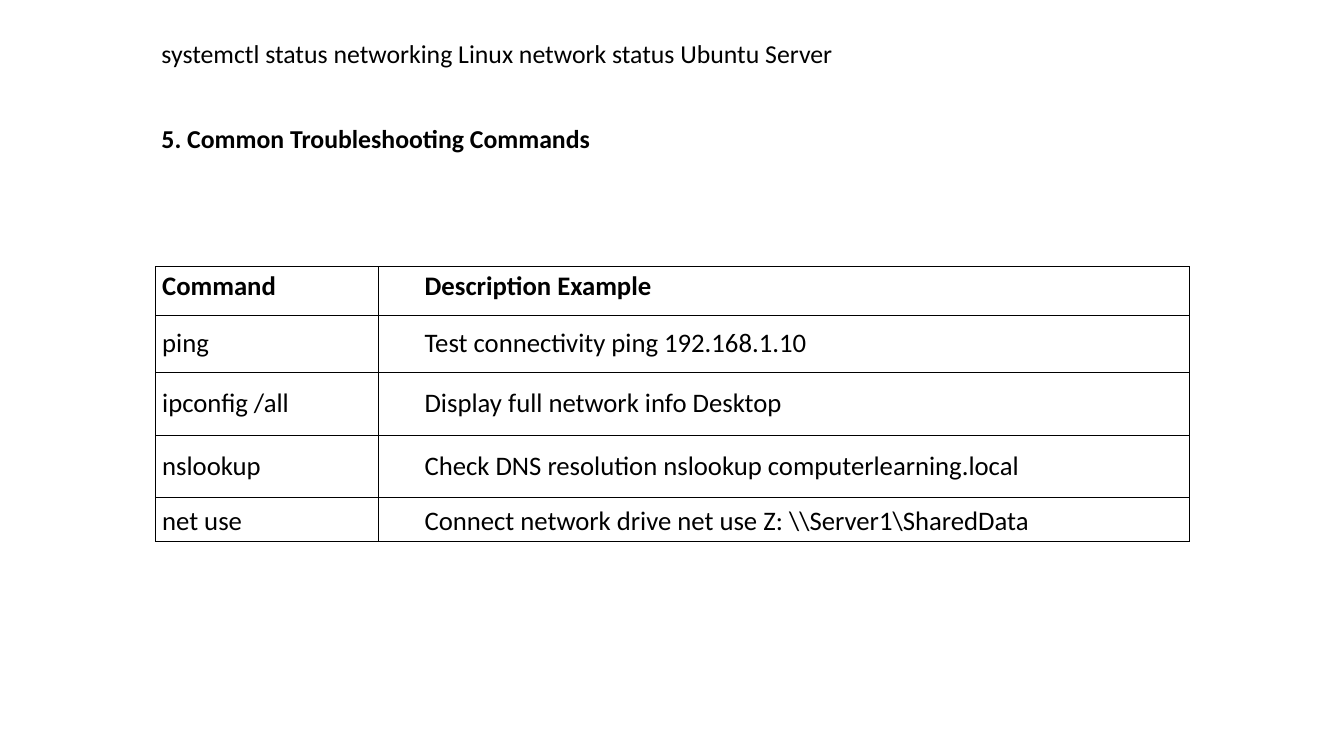
"""Build the slide of common troubleshooting commands."""
from dataclasses import dataclass

from lxml import etree
from pptx import Presentation
from pptx.dml.color import RGBColor
from pptx.enum.text import MSO_ANCHOR, MSO_AUTO_SIZE, PP_ALIGN
from pptx.oxml.ns import qn
from pptx.shapes.base import BaseShape
from pptx.slide import Slide
from pptx.table import _Cell
from pptx.text.text import _Paragraph
from pptx.util import Inches, Pt

TOP, MIDDLE, BOTTOM = MSO_ANCHOR.TOP, MSO_ANCHOR.MIDDLE, MSO_ANCHOR.BOTTOM
LEFT = PP_ALIGN.LEFT
NO_AUTOFIT = MSO_AUTO_SIZE.NONE


@dataclass(frozen=True)
class Theme:
    font: str = "Calibri"
    ink: str = "000000"
    paper: str = "FFFFFF"
    line_size: float = 27
    cell_size: float = 28
    border: float = 0.45


@dataclass(frozen=True)
class Line:
    text: str
    top: float
    width: float
    bold: bool = False


@dataclass(frozen=True)
class Row:
    command: str
    description: str
    height: float
    anchor: MSO_ANCHOR = MIDDLE
    bold: bool = False


THEME = Theme()
TEXT_LEFT, LINE_HEIGHT = 2.35, 0.42
TABLE_LEFT, TABLE_TOP = 2.26, 3.88
COLUMNS = (3.24, 11.81)
INDENTS = (0, 0.58)

STATUS = Line("systemctl status networking Linux network status Ubuntu Server", 0.55, 10.62)
HEADING = Line("5. Common Troubleshooting Commands", 1.79, 6.44, True)
ROWS = (
    Row("Command", "Description Example", 0.7, TOP, True),
    Row("ping", "Test connectivity ping 192.168.1.10", 0.84),
    Row("ipconfig /all", "Display full network info Desktop", 0.91),
    Row("nslookup", "Check DNS resolution nslookup computerlearning.local", 0.91),
    Row("net use", r"Connect network drive net use Z: \\Server1\SharedData", 0.63, BOTTOM),
)


def write(p: _Paragraph, text: str, size: float, bold: bool) -> None:
    """Put one formatted run in a left-aligned paragraph."""
    p.alignment = LEFT
    r = p.add_run()
    r.text = text
    for name, value in {"name": THEME.font, "size": Pt(size), "bold": bold}.items():
        setattr(r.font, name, value)
    r.font.color.rgb = RGBColor.from_string(THEME.ink)


def fill_line(sp: BaseShape, line: Line) -> None:
    """Place a single line of text without margins."""
    place = {"left": TEXT_LEFT, "top": line.top, "width": line.width, "height": LINE_HEIGHT}
    for name, value in place.items():
        setattr(sp, name, Inches(value))
    tf = sp.text_frame
    frame = {"word_wrap": False, "auto_size": NO_AUTOFIT, "vertical_anchor": TOP}
    frame |= {f"margin_{side}": 0 for side in ("left", "right", "top", "bottom")}
    for name, value in frame.items():
        setattr(tf, name, value)
    write(tf.paragraphs[0], line.text, THEME.line_size, line.bold)


def add_borders(cell: _Cell) -> None:
    """Draw a thin line on all four sides of a cell."""
    props = cell._tc.get_or_add_tcPr()
    for side in "LRTB":
        ln = etree.SubElement(props, qn(f"a:ln{side}"), w=str(Pt(THEME.border)))
        fill = etree.SubElement(ln, qn("a:solidFill"))
        etree.SubElement(fill, qn("a:srgbClr"), val=THEME.ink)


def fill_cell(cell: _Cell, text: str, indent: float, row: Row) -> None:
    """Write and style one table cell."""
    add_borders(cell)
    cell.fill.background()
    cell.vertical_anchor = row.anchor
    p = cell.text_frame.paragraphs[0]
    p._p.get_or_add_pPr().set("marL", str(Inches(indent)))
    write(p, text, THEME.cell_size, row.bold)


def add_commands(s: Slide) -> None:
    """Add the table of commands."""
    width, height = sum(COLUMNS), sum(row.height for row in ROWS)
    box = map(Inches, (TABLE_LEFT, TABLE_TOP, width, height))
    table = s.shapes.add_table(len(ROWS), len(COLUMNS), *box).table
    table.first_row = table.horz_banding = False
    for column, size in zip(table.columns, COLUMNS):
        column.width = Inches(size)
    for table_row, row in zip(table.rows, ROWS):
        table_row.height = Inches(row.height)
        texts = (row.command, row.description)
        for cell, text, indent in zip(table_row.cells, texts, INDENTS):
            fill_cell(cell, text, indent, row)


def main() -> None:
    """Build and save the presentation."""
    prs = Presentation()
    prs.slide_width, prs.slide_height = Inches(19.56), Inches(11)
    s = prs.slides.add_slide(prs.slide_layouts[5])
    s.background.fill.solid()
    s.background.fill.fore_color.rgb = RGBColor.from_string(THEME.paper)
    fill_line(s.shapes.title, HEADING)
    add_commands(s)
    fill_line(s.shapes.add_textbox(0, 0, 0, 0), STATUS)
    prs.save("out.pptx")


if __name__ == "__main__":
    main()
